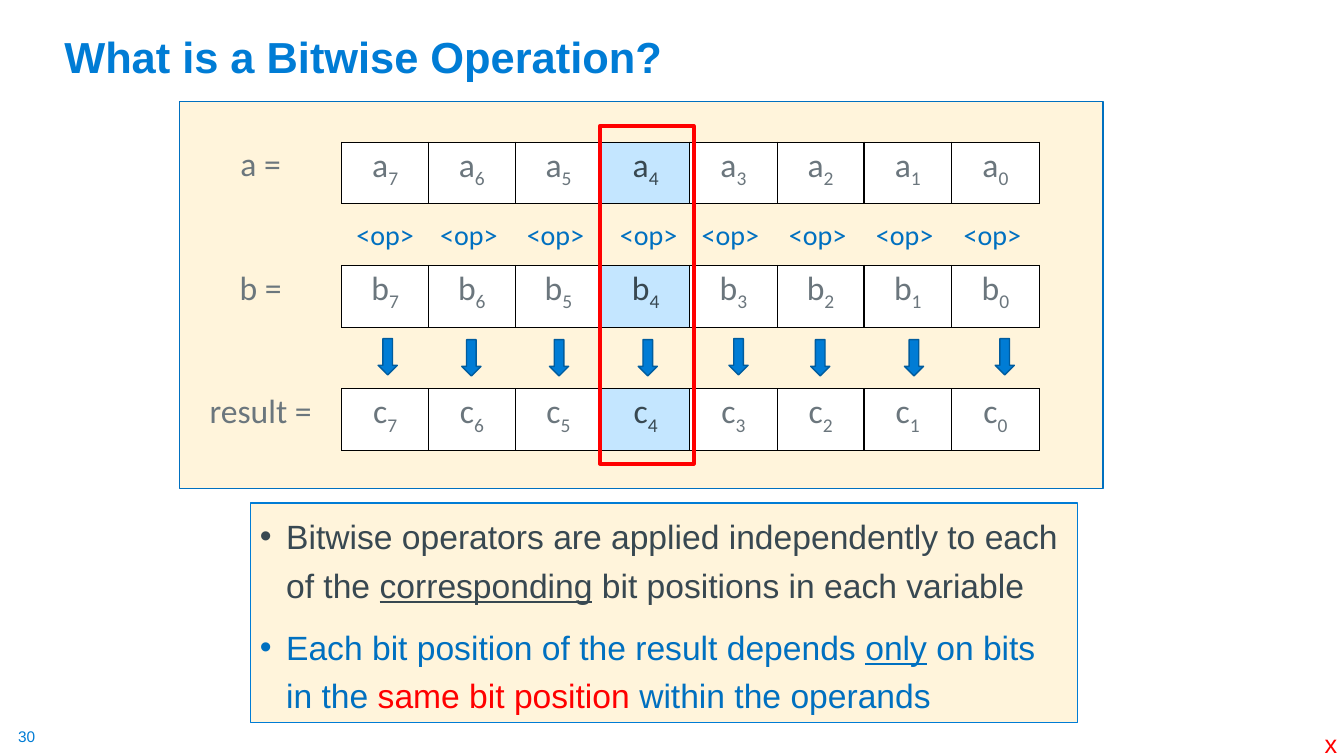
from pptx import Presentation
from pptx.dml.color import RGBColor
from pptx.enum.shapes import MSO_SHAPE
from pptx.enum.text import MSO_ANCHOR, PP_ALIGN
from pptx.oxml.ns import qn
from pptx.util import Inches, Pt
from lxml.etree import SubElement

COLORS = {
    "blue": "007CD5",
    "deep_blue": "0070C0",
    "arrow_edge": "005C9E",
    "cream": "FFF4DB",
    "white": "FFFFFF",
    "highlight": "C4E6FF",
    "dark": "384851",
    "grey": "6B767D",
    "red": "FF0000",
    "black": "000000",
}
BITS = range(7, -1, -1)
HIGHLIGHTED_BIT = 4
OPERANDS = {0: "a", 2: "b", 4: "c"}
ROW_LABELS = {0: "a =", 2: "b =", 4: "result ="}
OPERATOR_ROW = 1
COLUMN_WIDTHS = [1.61, 0.86, 0.86, 0.86, 0.87, 0.87, 0.86, 0.87, 0.87]
ARROW_SPOTS = [
    (3.75, 3.36), (4.58, 3.37), (5.45, 3.37), (6.33, 3.37),
    (7.23, 3.36), (8.04, 3.37), (8.97, 3.37), (9.87, 3.36),
]
STATEMENTS = [
    [
        ("Bitwise operators are applied independently to each of the ", "dark", False),
        ("corresponding", "dark", True),
        (" bit positions in each variable", "dark", False),
    ],
    [
        ("Each bit position of the result depends ", "deep_blue", False),
        ("only", "deep_blue", True),
        (" on bits in the ", "deep_blue", False),
        ("same bit position ", "red", False),
        ("within the operands", "deep_blue", False),
    ],
]


def rgb(name):
    return RGBColor.from_string(COLORS[name])


def add_run(paragraph, text, size, color, font="Arial", bold=False, underline=False):
    run = paragraph.add_run()
    run.text = text
    run.font.name = font
    run.font.size = Pt(size)
    run.font.bold = bold
    run.font.underline = underline
    run.font.color.rgb = rgb(color)
    return run


def add_shape(slide, kind, box, fill, edge, weight):
    shape = slide.shapes.add_shape(kind, *map(Inches, box))
    shape.shadow.inherit = False
    if fill:
        shape.fill.solid()
        shape.fill.fore_color.rgb = rgb(fill)
    else:
        shape.fill.background()
    shape.line.color.rgb = rgb(edge)
    shape.line.width = Pt(weight)
    return shape


def add_label(slide, box, text, size, color, bold=False, wrap=False, inset=True):
    frame = slide.shapes.add_textbox(*map(Inches, box)).text_frame
    frame.word_wrap = wrap
    if not inset:
        frame.margin_left = frame.margin_right = 0
        frame.margin_top = frame.margin_bottom = 0
    add_run(frame.paragraphs[0], text, size, color, bold=bold)
    return frame


def add_bullet(paragraph):
    properties = paragraph._p.get_or_add_pPr()
    properties.set("marL", str(Inches(0.26)))
    properties.set("indent", str(-Inches(0.26)))
    SubElement(properties, qn("a:buFont"), typeface="Arial")
    SubElement(properties, qn("a:buChar"), char="•")


def add_statements(slide):
    panel = add_shape(slide, MSO_SHAPE.RECTANGLE, (2.48, 4.99, 8.21, 2.18), "cream", "blue", 0.75)
    frame = panel.text_frame
    frame.word_wrap = True
    frame.vertical_anchor = MSO_ANCHOR.TOP
    for index, statement in enumerate(STATEMENTS):
        paragraph = frame.add_paragraph() if index else frame.paragraphs[0]
        add_bullet(paragraph)
        paragraph.alignment = PP_ALIGN.LEFT
        paragraph.line_spacing = 1.2
        paragraph.space_before = Pt(10 if index else 0)
        for text, color, underline in statement:
            add_run(paragraph, text, 24, color, underline=underline)


def set_borders(cell, black_sides):
    properties = cell._tc.get_or_add_tcPr()
    for side in "LRTB":
        line = SubElement(properties, qn(f"a:ln{side}"), w=str(Pt(1)))
        if side in black_sides:
            fill = SubElement(line, qn("a:solidFill"))
            SubElement(fill, qn("a:srgbClr"), val=COLORS["black"])
        else:
            SubElement(line, qn("a:noFill"))


def style_cell(cell, black_sides, fill=None):
    set_borders(cell, black_sides)
    if fill:
        cell.fill.solid()
        cell.fill.fore_color.rgb = rgb(fill)
    else:
        cell.fill.background()
    cell.margin_left = cell.margin_right = Inches(0.07)
    cell.margin_top = cell.margin_bottom = 0
    paragraph = cell.text_frame.paragraphs[0]
    paragraph.alignment = PP_ALIGN.CENTER
    paragraph.line_spacing = 1.07
    return paragraph


def fill_bit(cell, letter, bit):
    chosen = bit == HIGHLIGHTED_BIT
    color = "dark" if chosen else "grey"
    paragraph = style_cell(cell, "LRTB", "highlight" if chosen else "white")
    add_run(paragraph, letter, 24, color, "Calibri")
    subscript = add_run(paragraph, str(bit), 24, color, "Calibri")
    subscript._r.get_or_add_rPr().set("baseline", "-25000")


def fill_operator(cell, bit):
    add_run(style_cell(cell, "TB"), "<op>", 20, "deep_blue", "Calibri")
    cell.vertical_anchor = MSO_ANCHOR.MIDDLE
    if bit == HIGHLIGHTED_BIT:
        cell.margin_left = Inches(0.13)
    elif bit != BITS[0]:
        cell.margin_right = Inches(0.13)


def add_bit_table(slide):
    box = (1.78, 1.41, sum(COLUMN_WIDTHS), 3.06)
    table = slide.shapes.add_table(5, len(COLUMN_WIDTHS), *map(Inches, box)).table
    table.first_row = table.horz_banding = False
    for column, width in zip(table.columns, COLUMN_WIDTHS):
        column.width = Inches(width)
    for row in range(5):
        label = style_cell(table.cell(row, 0), "R" if row in OPERANDS else "")
        if row in OPERANDS:
            add_run(label, ROW_LABELS[row], 24, "grey", "Calibri")
        for column, bit in enumerate(BITS, start=1):
            cell = table.cell(row, column)
            if row in OPERANDS:
                fill_bit(cell, OPERANDS[row], bit)
            elif row == OPERATOR_ROW:
                fill_operator(cell, bit)
            else:
                style_cell(cell, "TB")


def main():
    presentation = Presentation()
    presentation.slide_width = Inches(13.33)
    presentation.slide_height = Inches(7.5)
    slide = presentation.slides.add_slide(presentation.slide_layouts[6])

    add_label(slide, (0.18, 7.21, 0.19, 0.19), "30", 11, "blue", inset=False)
    add_shape(slide, MSO_SHAPE.RECTANGLE, (1.78, 1.01, 9.16, 3.84), "cream", "deep_blue", 1)
    add_statements(slide)
    title = add_label(slide, (0.54, 0.09, 11.5, 0.78), "What is a Bitwise Operation?",
                      31, "blue", bold=True, wrap=True)
    title.vertical_anchor = MSO_ANCHOR.BOTTOM
    title.paragraphs[0].line_spacing = 0.9
    add_bit_table(slide)
    for left, top in ARROW_SPOTS:
        add_shape(slide, MSO_SHAPE.DOWN_ARROW, (left, top, 0.19, 0.36), "blue", "arrow_edge", 1)
    add_shape(slide, MSO_SHAPE.RECTANGLE, (5.95, 1.25, 0.93, 3.35), None, "red", 2.75)
    add_label(slide, (13.04, 7.18, 0.33, 0.4), "x", 18, "red")

    presentation.save("out.pptx")


if __name__ == "__main__":
    main()
